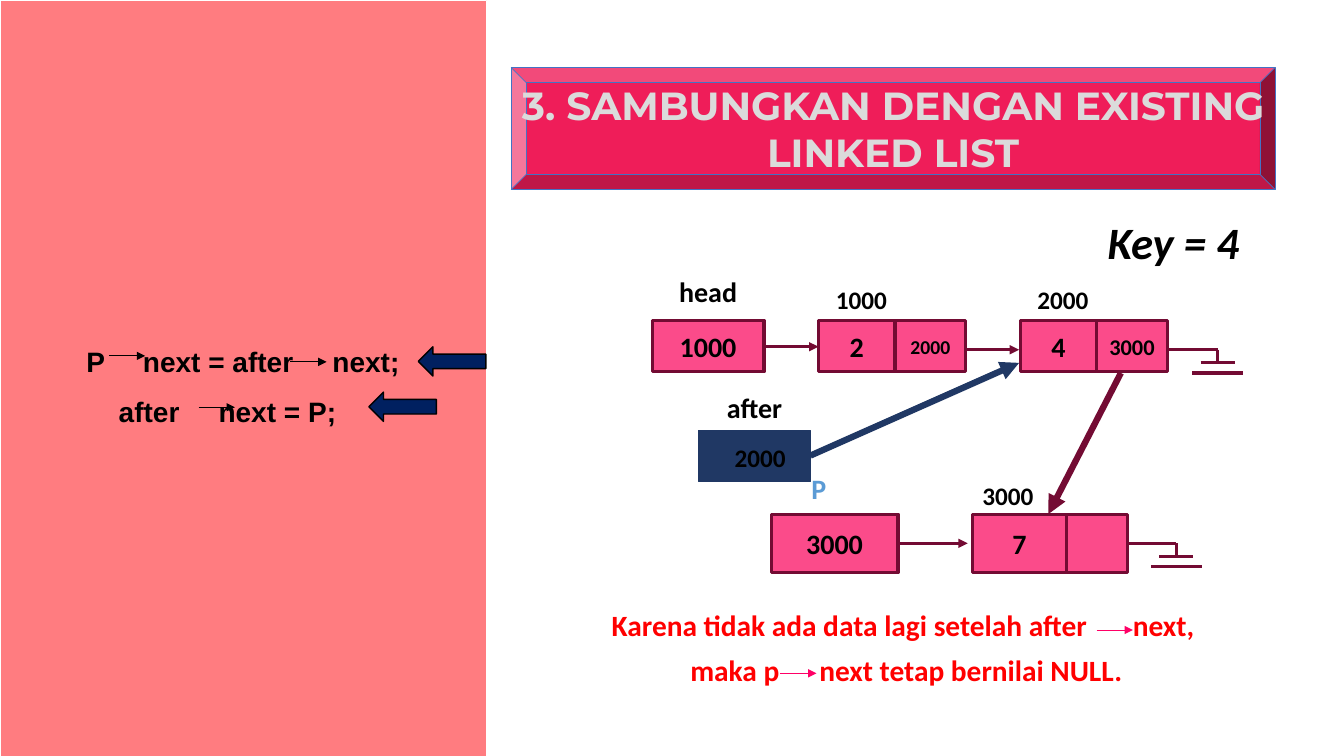
from lxml import etree
from pptx import Presentation
from pptx.dml.color import RGBColor
from pptx.enum.shapes import MSO_CONNECTOR, MSO_SHAPE
from pptx.enum.text import MSO_ANCHOR, MSO_AUTO_SIZE, PP_ALIGN
from pptx.oxml.ns import qn
from pptx.util import Inches, Pt

STRAIGHT = MSO_CONNECTOR.STRAIGHT
RECTANGLE = MSO_SHAPE.RECTANGLE
BEVEL = MSO_SHAPE.BEVEL
LEFT_ARROW = MSO_SHAPE.LEFT_ARROW
TOP, MIDDLE = MSO_ANCHOR.TOP, MSO_ANCHOR.MIDDLE
LEFT, CENTER = PP_ALIGN.LEFT, PP_ALIGN.CENTER
NO_AUTOFIT = MSO_AUTO_SIZE.NONE

GRID = Inches(0.1)
COLUMNS, ROWS = 133.33, 75
NODE_HEIGHT = 5.1
NEW_NODE_HEIGHT = 5.8
LIST_ROW = 31.8
NEW_ROW = 51

COLORS = {
    "panel": "FF7C80",
    "white": "FFFFFF",
    "banner": "EF1D59",
    "banner_edge": "4472C4",
    "banner_text": "DBDBDB",
    "node": "FB4B8A",
    "node_edge": "730B33",
    "after": "203864",
    "marker": "002060",
    "pointer": "5B9BD5",
    "note": "FF0000",
    "note_arrow": "FF0066",
    "ink": "000000",
}


def rgb(name):
    return RGBColor.from_string(COLORS[name])


def cells(*counts):
    return [round(count * GRID) for count in counts]


def add_tabs(paragraph, stops):
    tabs = etree.SubElement(paragraph._p.get_or_add_pPr(), qn("a:tabLst"))
    for stop in stops:
        etree.SubElement(tabs, qn("a:tab"), pos=str(round(stop * GRID)), algn="l")


def write_text(holder, *lines, size=20, color="ink", font="Calibri", italic=False,
               align=CENTER, anchor=TOP, spacing=1.0, before=0, tabs=()):
    frame = holder.text_frame
    frame.word_wrap = True
    frame.auto_size = NO_AUTOFIT
    frame.vertical_anchor = anchor
    for index, line in enumerate(lines):
        paragraph = frame.add_paragraph() if index else frame.paragraphs[0]
        if tabs:
            add_tabs(paragraph, tabs[index])
        paragraph.alignment = align
        paragraph.line_spacing = spacing
        paragraph.space_before = Pt(before if index else 0)
        run = paragraph.add_run()
        run.text = line
        run.font.name = font
        run.font.size = Pt(size)
        run.font.bold = True
        run.font.italic = italic
        run.font.color.rgb = rgb(color)


def add_block(slide, box, fill, edge, weight=0.5, kind=RECTANGLE):
    block = slide.shapes.add_shape(kind, *cells(*box))
    block.shadow.inherit = False
    block.fill.solid()
    block.fill.fore_color.rgb = rgb(fill)
    block.line.color.rgb = rgb(edge)
    block.line.width = Pt(weight)
    return block


def add_node(slide, box, value="", size=20):
    node = add_block(slide, box, "node", "node_edge", 2.25)
    if value:
        write_text(node, value, size=size, anchor=MIDDLE)


def add_label(slide, box, *lines, **text_format):
    write_text(slide.shapes.add_textbox(*cells(*box)), *lines, **text_format)


def add_link(slide, start, end, color="node_edge", weight=2.25, arrow=True):
    link = slide.shapes.add_connector(STRAIGHT, *cells(*start, *end))
    link.line.color.rgb = rgb(color)
    link.line.width = Pt(weight)
    if arrow:
        etree.SubElement(link.line._get_or_add_ln(), qn("a:tailEnd"), type="triangle")
    etree.SubElement(link._element.spPr, qn("a:effectLst"))


def add_null_ground(slide, column, row):
    stem = column + 4.9
    segments = [
        ((column, row), (stem, row)),
        ((stem, row), (stem, row + 1.2)),
        ((stem - 1.7, row + 1.3), (stem + 1.7, row + 1.3)),
        ((stem - 2.5, row + 2.3), (stem + 2.5, row + 2.3)),
    ]
    for start, end in segments:
        add_link(slide, start, end, arrow=False)


def place(holder, box):
    holder.left, holder.top, holder.width, holder.height = cells(*box)
    return holder


def add_statements(slide):
    panel = add_block(slide, (0, 0, 48.3, ROWS), "panel", "white")
    write_text(panel, "\tP\tnext = after\tnext;", "\tafter\tnext = P;", font="Arial",
               align=LEFT, anchor=MIDDLE, spacing=1.5,
               tabs=((7.6, 13.2, 32), (10.8, 20.7)))
    for column, row in ((10.8, 35.3), (19.7, 40.4), (28.8, 35.9)):
        add_link(slide, (column, row), (column + 3.6, row), "ink", 0.5)
    for column, row in ((41.5, 34.4), (36.6, 38.9)):
        add_block(slide, (column, row, 6.7, 2.9), "marker", "ink", 1, LEFT_ARROW)


def add_heading(slide):
    banner = (50.7, 6.7, 75.8, 12.1)
    add_block(slide, banner, "banner", "banner_edge", kind=BEVEL)
    heading = place(slide.shapes.title, banner)
    slide.shapes._spTree.append(heading._element)
    write_text(heading, "3. SAMBUNGKAN DENGAN EXISTING LINKED LIST", size=28,
               font="Montserrat", color="banner_text", anchor=MIDDLE)
    add_label(slide, (103.8, 21.8, 25.2, 5.7), "Key = 4", size=32, italic=True, spacing=0.8)


def add_existing_list(slide):
    add_label(slide, (65.5, 27.4, 9.5, 3.8), "head", spacing=0.8)
    add_node(slide, (64.7, LIST_ROW, 11.1, NODE_HEIGHT), "1000")
    add_link(slide, (75.8, 34.4), (81.2, 34.4))
    for column, address, value, following, size in (
        (81.2, "1000", "2", "2000", 14),
        (101.2, "2000", "4", "3000", 16),
    ):
        add_label(slide, (column, 27.7, 8.5, 4), address, size=18)
        add_node(slide, (column, LIST_ROW, 7.6, NODE_HEIGHT), value)
        add_node(slide, (column + 7.6, LIST_ROW, 7, NODE_HEIGHT), following, size)
    add_link(slide, (95.8, 34.7), (101.1, 34.7))
    add_null_ground(slide, 115.9, 34.7)


def add_after_pointer(slide):
    add_label(slide, (70.1, 38.9, 9.5, 3.8), "after", spacing=0.8)
    add_block(slide, (69.3, 42.7, 11.1, NODE_HEIGHT), "after", "after")
    add_label(slide, (71.4, 43.4, 8, 4), "2000", size=18)
    add_link(slide, (80.4, 45.2), (101.1, 36), "after", 4.5)


def add_new_node(slide):
    write_text(place(slide.placeholders[1], (79.5, 46.7, 6.5, 4.4)), "P",
               color="pointer", align=LEFT, spacing=0.9)
    add_node(slide, (76.5, NEW_ROW, 12.6, NEW_NODE_HEIGHT), "3000")
    add_link(slide, (89.1, 53.9), (96, 53.9))
    add_label(slide, (96.2, 47.2, 7.6, 4), "3000", size=18)
    add_node(slide, (96.5, NEW_ROW, 9.3, NEW_NODE_HEIGHT), "7")
    add_node(slide, (105.8, NEW_ROW, 6.1, NEW_NODE_HEIGHT))
    add_null_ground(slide, 111.8, 53.9)
    add_link(slide, (111.2, 37), (104, NEW_ROW), weight=4.5)


def add_conclusion(slide):
    add_label(slide, (50.8, 60.1, 78.2, 9.3),
              "\tKarena tidak ada data lagi setelah after\tnext,",
              "\tmaka p\tnext tetap bernilai NULL.",
              size=21, color="note", align=LEFT, spacing=0.9, before=10,
              tabs=((8.9, 60.6), (16.7, 29.5)))
    for column, row in ((108.8, 62.5), (77.4, 66.8)):
        add_link(slide, (column, row), (column + 3.6, row), "note_arrow", 0.5)


def main():
    deck = Presentation()
    deck.slide_width, deck.slide_height = cells(COLUMNS, ROWS)
    slide = deck.slides.add_slide(deck.slide_layouts[0])
    add_statements(slide)
    add_heading(slide)
    add_existing_list(slide)
    add_after_pointer(slide)
    add_new_node(slide)
    add_conclusion(slide)
    deck.save("out.pptx")


if __name__ == "__main__":
    main()
